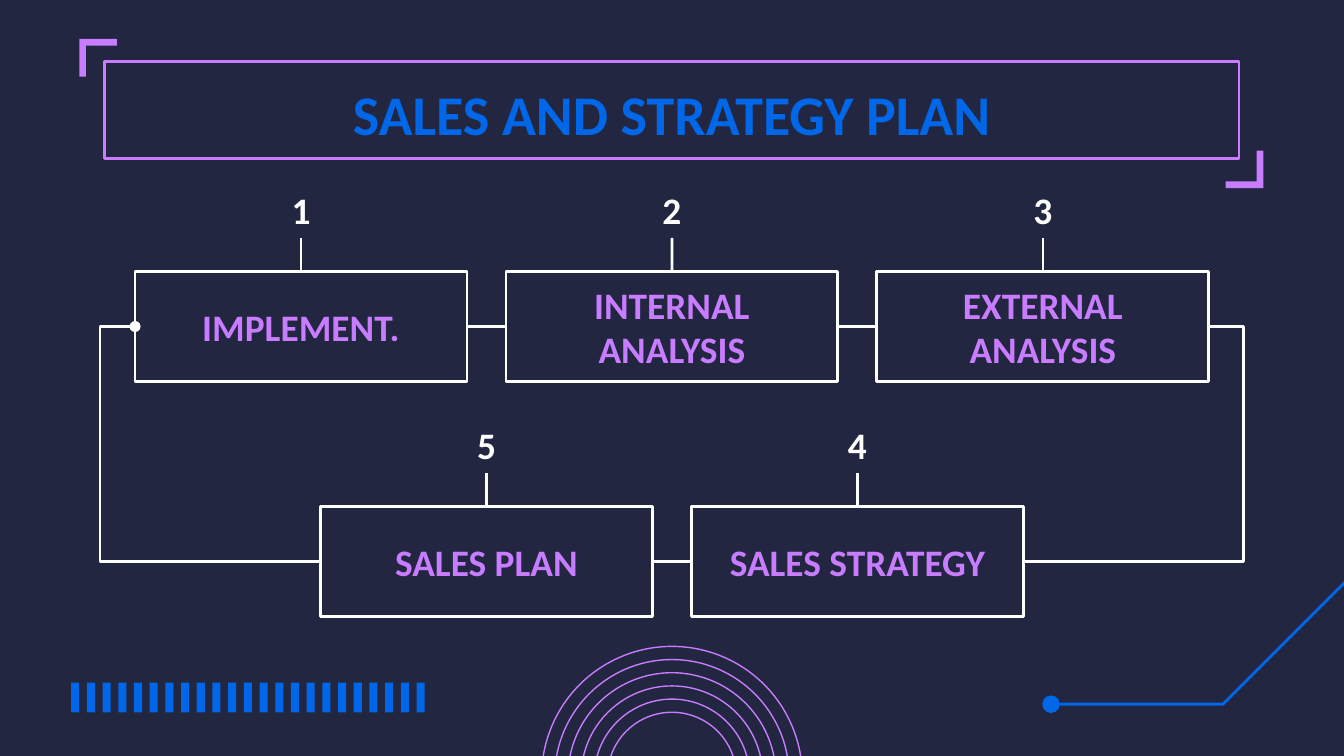
from dataclasses import dataclass

from lxml import etree
from pptx import Presentation
from pptx.dml.color import RGBColor
from pptx.enum.shapes import MSO_CONNECTOR, MSO_SHAPE
from pptx.enum.text import MSO_ANCHOR, PP_ALIGN
from pptx.oxml.ns import qn
from pptx.util import Inches, Pt

RECTANGLE, OVAL = MSO_SHAPE.RECTANGLE, MSO_SHAPE.OVAL
STRAIGHT, ELBOW = MSO_CONNECTOR.STRAIGHT, MSO_CONNECTOR.ELBOW
ANCHOR_TOP, ANCHOR_MIDDLE = MSO_ANCHOR.TOP, MSO_ANCHOR.MIDDLE
ALIGN_CENTER = PP_ALIGN.CENTER
TOP, LEFT, BOTTOM, RIGHT = range(4)


@dataclass(frozen=True)
class Theme:
    background: RGBColor = RGBColor(0x22, 0x26, 0x40)
    purple: RGBColor = RGBColor(0xC8, 0x7C, 0xFF)
    blue: RGBColor = RGBColor(0x00, 0x68, 0xE8)
    white: RGBColor = RGBColor(0xFF, 0xFF, 0xFF)
    font: str = "Calibri"
    title_size: int = 30
    step_size: int = 20
    thin_line: float = 0.75
    line: float = 1.5


@dataclass(frozen=True)
class Step:
    number: str
    label: str
    center: float
    top: float


THEME = Theme()
SLIDE_WIDTH = 10
SLIDE_HEIGHT = SLIDE_WIDTH * 9 / 16
CENTER = SLIDE_WIDTH / 2
PITCH = 2.76
STEP_WIDTH, STEP_HEIGHT = 2.47, 0.82
NUMBER_WIDTH, NUMBER_HEIGHT = 0.53, 0.42
TICK = 0.25
UPPER_ROW, LOWER_ROW = 2.02, 3.77
STEPS = (
    Step("1", "IMPLEMENT.", CENTER - PITCH, UPPER_ROW),
    Step("2", "INTERNAL ANALYSIS", CENTER, UPPER_ROW),
    Step("3", "EXTERNAL ANALYSIS", CENTER + PITCH, UPPER_ROW),
    Step("4", "SALES STRATEGY", CENTER + PITCH / 2, LOWER_ROW),
    Step("5", "SALES PLAN", CENTER - PITCH / 2, LOWER_ROW),
)


def style(shape, fill: RGBColor | None, line: RGBColor | None,
          width: float = THEME.line) -> None:
    shape.shadow.inherit = False
    if fill is None:
        shape.fill.background()
    else:
        shape.fill.solid()
        shape.fill.fore_color.rgb = fill
    if line is None:
        shape.line.fill.background()
    else:
        shape.line.color.rgb = line
        shape.line.width = Pt(width)


def add_box(slide, kind, left: float, top: float, width: float, height: float):
    return slide.shapes.add_shape(
        kind, Inches(left), Inches(top), Inches(width), Inches(height))


def add_freeform(slide, contours: list, closed: bool = True):
    """Draw contours, each a list of points in inches, as one shape."""
    scaled = [[(Inches(x), Inches(y)) for x, y in points] for points in contours]
    builder = slide.shapes.build_freeform(*scaled[0][0])
    for index, points in enumerate(scaled):
        if index:
            builder.move_to(*points[0])
        builder.add_line_segments(points[1:], close=closed)
    return builder.convert_to_shape()


def write(shape, text: str, size: int, color: RGBColor, anchor) -> None:
    frame = shape.text_frame
    frame.word_wrap = True
    frame.vertical_anchor = anchor
    frame.margin_left = frame.margin_right = Inches(0.1)
    frame.margin_top = frame.margin_bottom = Inches(0.1)
    paragraph = frame.paragraphs[0]
    paragraph.text = text
    paragraph.alignment = ALIGN_CENTER
    font = paragraph.font
    font.name, font.size, font.bold = THEME.font, Pt(size), True
    font.color.rgb = color


def add_text(slide, left: float, top: float, width: float, height: float,
             text: str, size: int, color: RGBColor, anchor):
    box = slide.shapes.add_textbox(
        Inches(left), Inches(top), Inches(width), Inches(height))
    write(box, text, size, color, anchor)
    return box


def join(slide, start, start_side: int, end, end_side: int, kind=STRAIGHT,
         bend: int | None = None, dot: bool = False) -> None:
    """Connect two box sides; bend is the elbow position in 1/100000 of the width."""
    connector = slide.shapes.add_connector(kind, 0, 0, 0, 0)
    connector.begin_connect(start, start_side)
    connector.end_connect(end, end_side)
    connector.line.color.rgb = THEME.white
    connector.line.width = Pt(THEME.line)
    properties = connector._element.spPr
    etree.SubElement(properties, qn("a:effectLst"))
    if bend is not None:
        adjustments = properties.find(qn("a:prstGeom")).get_or_add_avLst()
        etree.SubElement(adjustments, qn("a:gd"), name="adj1", fmla=f"val {bend}")
    if dot:
        etree.SubElement(properties.find(qn("a:ln")), qn("a:tailEnd"), type="oval")


def add_bracket(slide, x: float, y: float, direction: int) -> None:
    """Draw an L whose arms run from its outer corner in the given direction."""
    long, thick = 0.28 * direction, 0.05 * direction
    points = [(x, y + long), (x, y), (x + long, y), (x + long, y + thick),
              (x + thick, y + thick), (x + thick, y + long)]
    style(add_freeform(slide, [points]), THEME.purple, None)


def add_decoration(slide) -> None:
    # Concentric circles
    inner, outer, count = 0.48, 0.97, 6
    for index in range(count):
        radius = inner + (outer - inner) * index / (count - 1)
        circle = add_box(slide, OVAL, CENTER - radius, 5.78 - radius,
                         2 * radius, 2 * radius)
        style(circle, None, THEME.purple, THEME.thin_line)

    # Row of bars
    first, last, bars = 0.53, 3.1, 23
    contours = []
    for index in range(bars):
        left = first + (last - first) * index / (bars - 1)
        contours.append([(left, 5.08), (left, 5.3),
                         (left + 0.06, 5.3), (left + 0.06, 5.08)])
    style(add_freeform(slide, contours), THEME.blue, None)

    # Circuit line with its dot
    style(add_box(slide, OVAL, 7.76, 5.18, 0.12, 0.12),
          THEME.blue, THEME.blue, THEME.thin_line)
    circuit = add_freeform(slide, [[(10.56, 3.78), (9.1, 5.24), (7.82, 5.24)]], False)
    style(circuit, None, THEME.blue)


def add_title(slide) -> None:
    style(add_box(slide, RECTANGLE, 0.78, 0.46, 8.44, 0.72), None, THEME.purple)
    add_bracket(slide, 9.4, 1.4, -1)
    add_bracket(slide, 0.59, 0.29, 1)
    add_text(slide, 0.78, 0.49, 8.44, 0.63, "SALES AND STRATEGY PLAN",
             THEME.title_size, THEME.blue, ANCHOR_TOP)


def add_step(slide, step: Step):
    box = add_box(slide, RECTANGLE, step.center - STEP_WIDTH / 2, step.top,
                  STEP_WIDTH, STEP_HEIGHT)
    style(box, THEME.background, THEME.white)
    write(box, step.label, THEME.step_size, THEME.purple, ANCHOR_MIDDLE)
    number = add_text(slide, step.center - NUMBER_WIDTH / 2,
                      step.top - TICK - NUMBER_HEIGHT, NUMBER_WIDTH, NUMBER_HEIGHT,
                      step.number, THEME.step_size, THEME.white, ANCHOR_MIDDLE)
    join(slide, number, BOTTOM, box, TOP)
    return box


def main() -> None:
    presentation = Presentation()
    presentation.slide_width = Inches(SLIDE_WIDTH)
    presentation.slide_height = Inches(SLIDE_HEIGHT)
    slide = presentation.slides.add_slide(presentation.slide_layouts[6])
    slide.background.fill.solid()
    slide.background.fill.fore_color.rgb = THEME.background

    add_decoration(slide)
    add_title(slide)

    # Steps and the loop that joins them
    implement, internal, external, strategy, plan = [
        add_step(slide, step) for step in STEPS]
    join(slide, implement, RIGHT, internal, LEFT)
    join(slide, internal, RIGHT, external, LEFT)
    join(slide, external, RIGHT, strategy, RIGHT, ELBOW, bend=-18900)
    join(slide, strategy, LEFT, plan, RIGHT)
    join(slide, plan, LEFT, implement, LEFT, ELBOW, bend=118900, dot=True)

    presentation.save("out.pptx")


if __name__ == "__main__":
    main()
